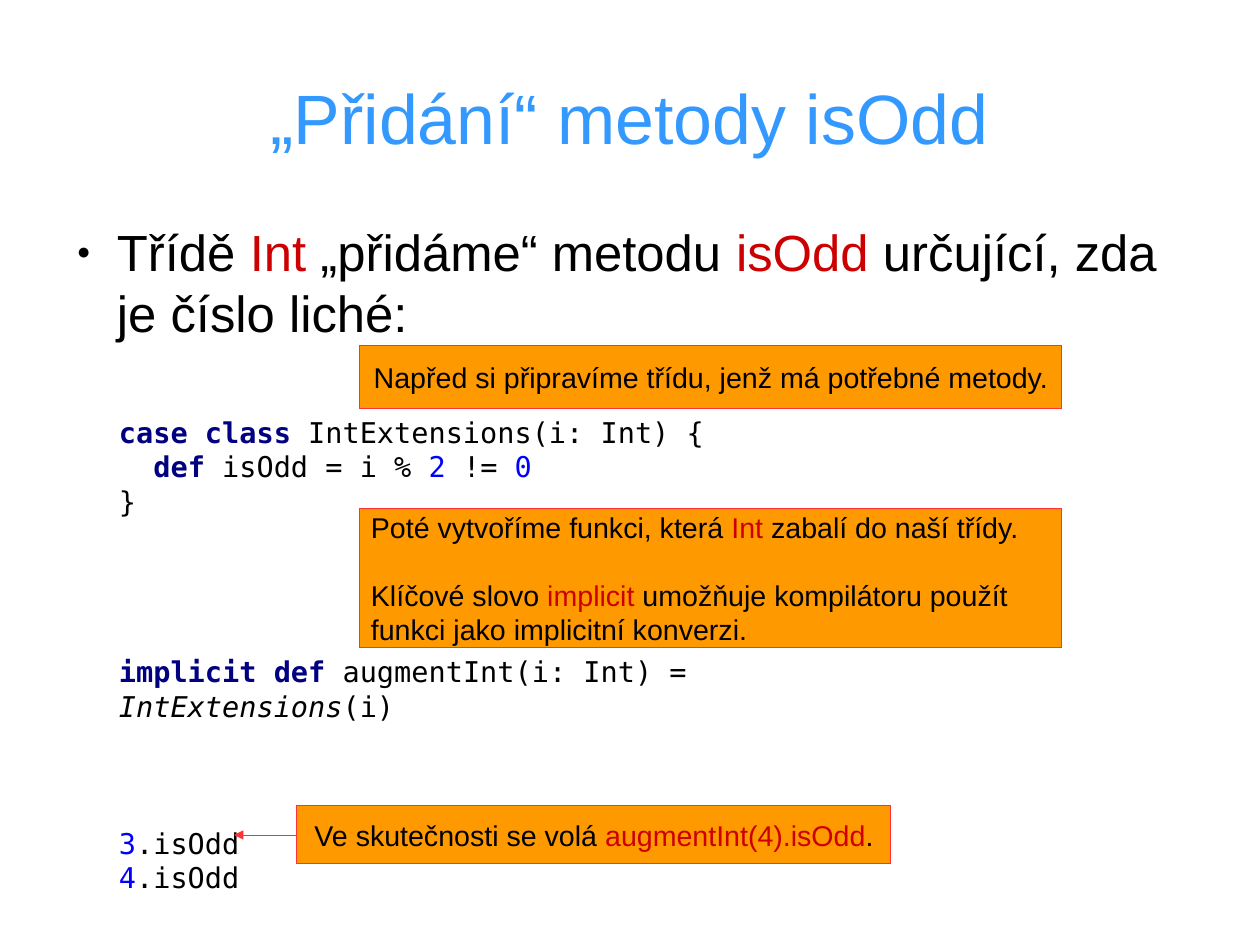
import pptx
import pptx.dml.color
import pptx.enum.shapes
import pptx.enum.text
import pptx.oxml.ns
import pptx.util
from lxml import etree

RGB = pptx.dml.color.RGBColor
BLACK = RGB(0x00, 0x00, 0x00)
TITLE_BLUE = RGB(0x33, 0x99, 0xFF)
RED = RGB(0xCC, 0x00, 0x00)
NAVY = RGB(0x00, 0x00, 0x80)
NUMBER_BLUE = RGB(0x00, 0x00, 0xFF)
ORANGE = RGB(0xFF, 0x99, 0x00)
EDGE_RED = RGB(0xFF, 0x33, 0x33)

ANCHOR = pptx.enum.text.MSO_ANCHOR
ALIGN = pptx.enum.text.PP_ALIGN
HAIRLINE = pptx.util.Emu(1)
BREAK = "\n"

# Span styles: colour and font values
PLAIN = (BLACK, {})
MARK = (RED, {})
KEYWORD = (NAVY, {"bold": True})
NUMBER = (NUMBER_BLUE, {})
ITALIC = (BLACK, {"italic": True})


def px(length):
    """Turn px (45 to the centimetre) into EMU."""
    return pptx.util.Emu(length * 8000)


def add_element(parent, tag, **values):
    return etree.SubElement(parent, pptx.oxml.ns.qn(tag), values)


class SlideWriter:
    sans = "Arial"
    mono = "DejaVu Sans Mono"

    def __init__(self, deck):
        self.slide = deck.slides.add_slide(deck.slide_layouts[6])

    def fill_text(self, frame, paragraphs, size, font, align=ALIGN.LEFT, gaps=(),
                  margins=(11, 6), wrap=True, anchor=ANCHOR.TOP):
        across, down = margins
        layout = {
            "margin_left": px(across), "margin_right": px(across),
            "margin_top": px(down), "margin_bottom": px(down),
            "word_wrap": wrap, "vertical_anchor": anchor,
        }
        for name, value in layout.items():
            setattr(frame, name, value)
        for index, spans in enumerate(paragraphs):
            para = frame.add_paragraph() if index else frame.paragraphs[0]
            para.alignment = align
            if index:
                para.space_before = pptx.util.Pt(gaps[index - 1])
            for text, (color, extra) in spans:
                if text == BREAK:
                    para.add_line_break()
                    continue
                span = para.add_run()
                span.text = text
                style = {"name": font, "size": pptx.util.Pt(size), **extra}
                for name, value in style.items():
                    setattr(span.font, name, value)
                span.font.color.rgb = color

    def text(self, place, paragraphs, size, font=sans, **layout):
        box = self.slide.shapes.add_textbox(*map(px, place))
        self.fill_text(box.text_frame, paragraphs, size, font, **layout)
        return box

    def bullet(self, box, indent, hanging):
        para = box.text_frame.paragraphs[0]
        props = para._p.get_or_add_pPr()
        props.set("marL", str(px(indent)))
        props.set("indent", str(-px(hanging)))
        color = add_element(props, "a:buClr")
        add_element(color, "a:srgbClr", val=str(BLACK))
        add_element(props, "a:buSzPct", val="45000")
        add_element(props, "a:buFont", typeface=self.sans)
        add_element(props, "a:buChar", char="●")

    def callout(self, place, paragraphs, **layout):
        box = self.slide.shapes.add_shape(
            pptx.enum.shapes.MSO_SHAPE.RECTANGLE, *map(px, place))
        box.shadow.inherit = False
        box.fill.solid()
        box.fill.fore_color.rgb = ORANGE
        box.line.color.rgb = EDGE_RED
        box.line.width = HAIRLINE
        self.fill_text(box.text_frame, paragraphs, 18, self.sans,
                       wrap=False, anchor=ANCHOR.MIDDLE, **layout)
        return box

    def arrow_from_left(self, box, length):
        middle = box.top + box.height // 2
        arrow = self.slide.shapes.add_connector(
            pptx.enum.shapes.MSO_CONNECTOR.STRAIGHT,
            box.left, middle, box.left - px(length), middle)
        arrow.begin_connect(box, 1)
        arrow.line.color.rgb = EDGE_RED
        arrow.line.width = HAIRLINE
        add_element(arrow.line._get_or_add_ln(), "a:tailEnd", type="triangle")
        add_element(arrow._element.spPr, "a:effectLst")


def main():
    deck = pptx.Presentation()
    deck.slide_width, deck.slide_height = px(1260), px(945)
    page = SlideWriter(deck)

    # Title and introduction
    page.text((63, 38, 1134, 158), [[("„Přidání“ metody isOdd", (TITLE_BLUE, {}))]],
              44, align=ALIGN.CENTER, margins=(0, 0), anchor=ANCHOR.MIDDLE)
    intro = page.text((63, 221, 1134, 548), [[
        ("Třídě ", PLAIN), ("Int", MARK), (" „přidáme“ metodu ", PLAIN),
        ("isOdd", MARK), (" určující, zda je číslo liché:", PLAIN),
    ]], 32, margins=(0, 0))
    page.bullet(intro, 54, 40)

    # Code: class, implicit conversion, calls
    page.text((108, 409, 819, 475), [
        [("case class ", KEYWORD), ("IntExtensions(i: Int) {", PLAIN), (BREAK, PLAIN),
         ("  ", PLAIN), ("def ", KEYWORD), ("isOdd = i % ", PLAIN), ("2 ", NUMBER),
         ("!= ", PLAIN), ("0", NUMBER), (BREAK, PLAIN), ("}", PLAIN)],
        [("implicit def ", KEYWORD), ("augmentInt(i: Int) = ", PLAIN),
         ("IntExtensions", ITALIC), ("(i)", PLAIN)],
        [("3", NUMBER), (".isOdd", PLAIN), (BREAK, PLAIN),
         ("4", NUMBER), (".isOdd", PLAIN)],
    ], 18, page.mono, gaps=(86, 65))

    # Callouts
    page.callout((360, 346, 702, 63), [
        [("Napřed si připravíme třídu, jenž má potřebné metody.", PLAIN)],
    ], align=ALIGN.CENTER)
    page.callout((360, 508, 702, 140), [
        [("Poté vytvoříme funkci, která ", PLAIN), ("Int", MARK),
         (" zabalí do naší třídy.", PLAIN)],
        [("Klíčové slovo ", PLAIN), ("implicit", MARK),
         (" umožňuje kompilátoru použít", PLAIN), (BREAK, PLAIN),
         ("funkci jako implicitní konverzi.", PLAIN)],
    ], gaps=(21,))
    call_note = page.callout((297, 806, 594, 58), [
        [("Ve skutečnosti se volá ", PLAIN), ("augmentInt(4).isOdd", MARK),
         (".", PLAIN)],
    ], align=ALIGN.CENTER)
    page.arrow_from_left(call_note, 63)

    deck.save("out.pptx")


if __name__ == "__main__":
    main()
